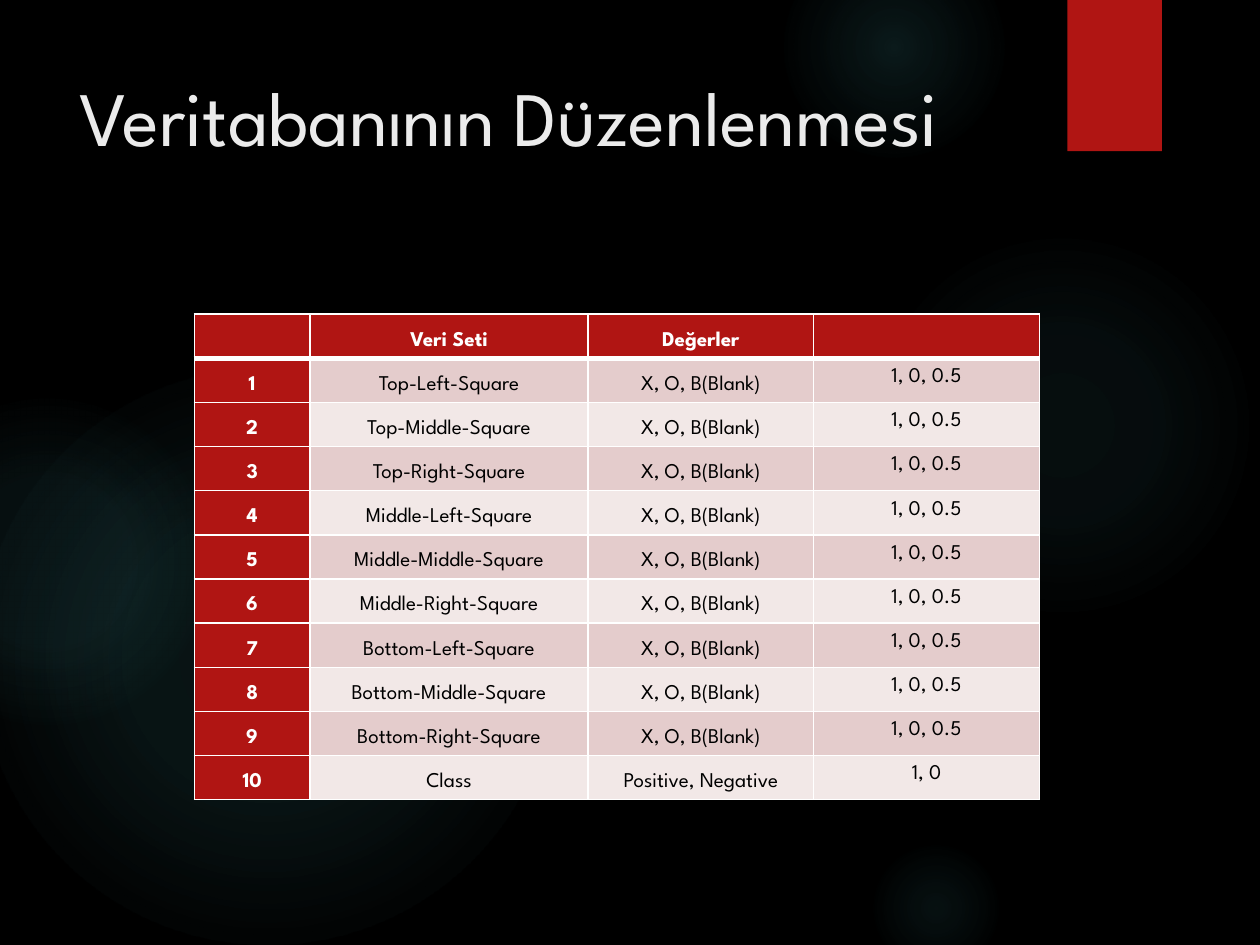
from pptx import Presentation
from pptx.dml.color import RGBColor
from pptx.enum.shapes import MSO_SHAPE as Shape
from pptx.enum.text import MSO_ANCHOR as Anchor, MSO_AUTO_SIZE as AutoSize, PP_ALIGN as Align
from pptx.oxml import parse_xml
from pptx.util import Pt

FONT = "League Spartan"
RED, WHITE, BLACK, GLOW = "B01513", "FFFFFF", "000000", "50B9C1"
BANDS = ("E4CCCC", "F2E8E7")
NAMESPACE = 'xmlns:a="http://schemas.openxmlformats.org/drawingml/2006/main"'

# left, top, diameter, then (position %, opacity %) stops
GLOWS = [
    (496, 132, 222, [(0, 7), (36, 6), (69, 0)]),
    (448, -36, 126, [(0, 14), (36, 7), (73, 0)]),
    (496, 480, 78, [(0, 9), (36, 5), (66, 0)]),
    (-12, 210, 330, [(0, 11), (36, 10), (75, 0)]),
    (-66, 228, 186, [(0, 8), (36, 8), (72, 0)]),
]

SQUARES = [f"{row}-{column}-Square"
           for row in ("Top", "Middle", "Bottom")
           for column in ("Left", "Middle", "Right")]
ROWS = [("", "Veri Seti", "Değerler", "")]
ROWS += [(str(number), square, "X, O, B(Blank)", "1, 0, 0.5")
         for number, square in enumerate(SQUARES, 1)]
ROWS.append(("10", "Class", "Positive, Negative", "1, 0"))


def color(value):
    return RGBColor.from_string(value)


def add_plain_shape(slide, kind, left, top, width, height):
    shape = slide.shapes.add_shape(kind, Pt(left), Pt(top), Pt(width), Pt(height))
    shape.shadow.inherit = False
    shape.line.fill.background()
    return shape


def add_glow(slide, left, top, diameter, stops):
    """Add a circle that fades out from its centre."""
    shape = add_plain_shape(slide, Shape.OVAL, left, top, diameter, diameter)
    stop_xml = "".join(
        f'<a:gs pos="{position * 1000}"><a:srgbClr val="{GLOW}">'
        f'<a:alpha val="{opacity * 1000}"/></a:srgbClr></a:gs>'
        for position, opacity in stops)
    gradient = parse_xml(
        f'<a:gradFill {NAMESPACE} rotWithShape="1"><a:gsLst>{stop_xml}</a:gsLst>'
        '<a:path path="circle"><a:fillToRect l="50000" t="50000" r="50000" b="50000"/>'
        '</a:path></a:gradFill>')
    shape._element.spPr.prstGeom.addnext(gradient)


def add_ribbon(slide, left, top, width, height):
    shape = add_plain_shape(slide, Shape.RECTANGLE, left, top, width, height)
    shape.fill.solid()
    shape.fill.fore_color.rgb = color(RED)
    effects = shape._element.spPr.find("{*}effectLst")
    effects.append(parse_xml(
        f'<a:outerShdw {NAMESPACE} blurRad="{Pt(3)}" dist="{Pt(2)}" dir="5400000" '
        f'rotWithShape="0"><a:srgbClr val="{BLACK}"><a:alpha val="45000"/></a:srgbClr>'
        '</a:outerShdw>'))


def place_title(slide, text, left, top, width, height):
    title = slide.shapes.title
    title.left, title.top, title.width, title.height = map(Pt, (left, top, width, height))
    frame = title.text_frame
    frame.text = text
    frame.word_wrap = True
    frame.auto_size = AutoSize.NONE
    frame.vertical_anchor = Anchor.TOP
    paragraph = frame.paragraphs[0]
    paragraph.alignment = Align.LEFT
    paragraph.font.name = FONT
    paragraph.font.size = Pt(44)
    paragraph.font.color.rgb = color("EBEBEB")
    # Bring the title in front of the glows
    title._element.getparent().append(title._element)


def set_borders(cell, top, bottom):
    properties = cell._tc.get_or_add_tcPr()
    for side, width in (("L", 1), ("R", 1), ("T", top), ("B", bottom)):
        properties.append(parse_xml(
            f'<a:ln{side} {NAMESPACE} w="{Pt(width)}"><a:solidFill>'
            f'<a:srgbClr val="{WHITE}"/></a:solidFill></a:ln{side}>'))


def fill_cell(cell, text, row, column):
    heading = row == 0 or column == 0
    set_borders(cell, top=3 if row == 1 else 1, bottom=3 if row == 0 else 1)
    cell.fill.solid()
    cell.fill.fore_color.rgb = color(RED if heading else BANDS[(row - 1) % 2])
    cell.margin_left = cell.margin_right = Pt(5)
    cell.margin_top = cell.margin_bottom = 0
    cell.vertical_anchor = Anchor.TOP if column == 3 else Anchor.MIDDLE
    cell.text = text
    paragraph = cell.text_frame.paragraphs[0]
    paragraph.alignment = Align.CENTER
    paragraph.line_spacing = 1.5
    paragraph.font.name = FONT
    paragraph.font.size = Pt(12)
    paragraph.font.bold = heading
    paragraph.font.color.rgb = color(WHITE if heading else BLACK)


def add_data_table(slide, left, top, width, height):
    shape = slide.shapes.add_table(len(ROWS), 4, Pt(left), Pt(top), Pt(width), Pt(height))
    table = shape.table
    for column, share in zip(table.columns, (0.137, 0.329, 0.267, 0.267)):
        column.width = Pt(width * share)
    for row, texts in enumerate(ROWS):
        table.rows[row].height = Pt(height / len(ROWS))
        for column, text in enumerate(texts):
            fill_cell(table.cell(row, column), text, row, column)


def main():
    presentation = Presentation()
    presentation.slide_width, presentation.slide_height = Pt(720), Pt(540)
    slide = presentation.slides.add_slide(presentation.slide_layouts[5])
    slide.background.fill.solid()
    slide.background.fill.fore_color.rgb = color(BLACK)
    for glow in GLOWS:
        add_glow(slide, *glow)
    add_ribbon(slide, 610, 0, 54, 86.4)
    place_title(slide, "Veritabanının Düzenlenmesi", 38.4, 36, 556, 110)
    add_data_table(slide, 111, 179.5, 483, 277.8)
    presentation.save("out.pptx")


if __name__ == "__main__":
    main()
